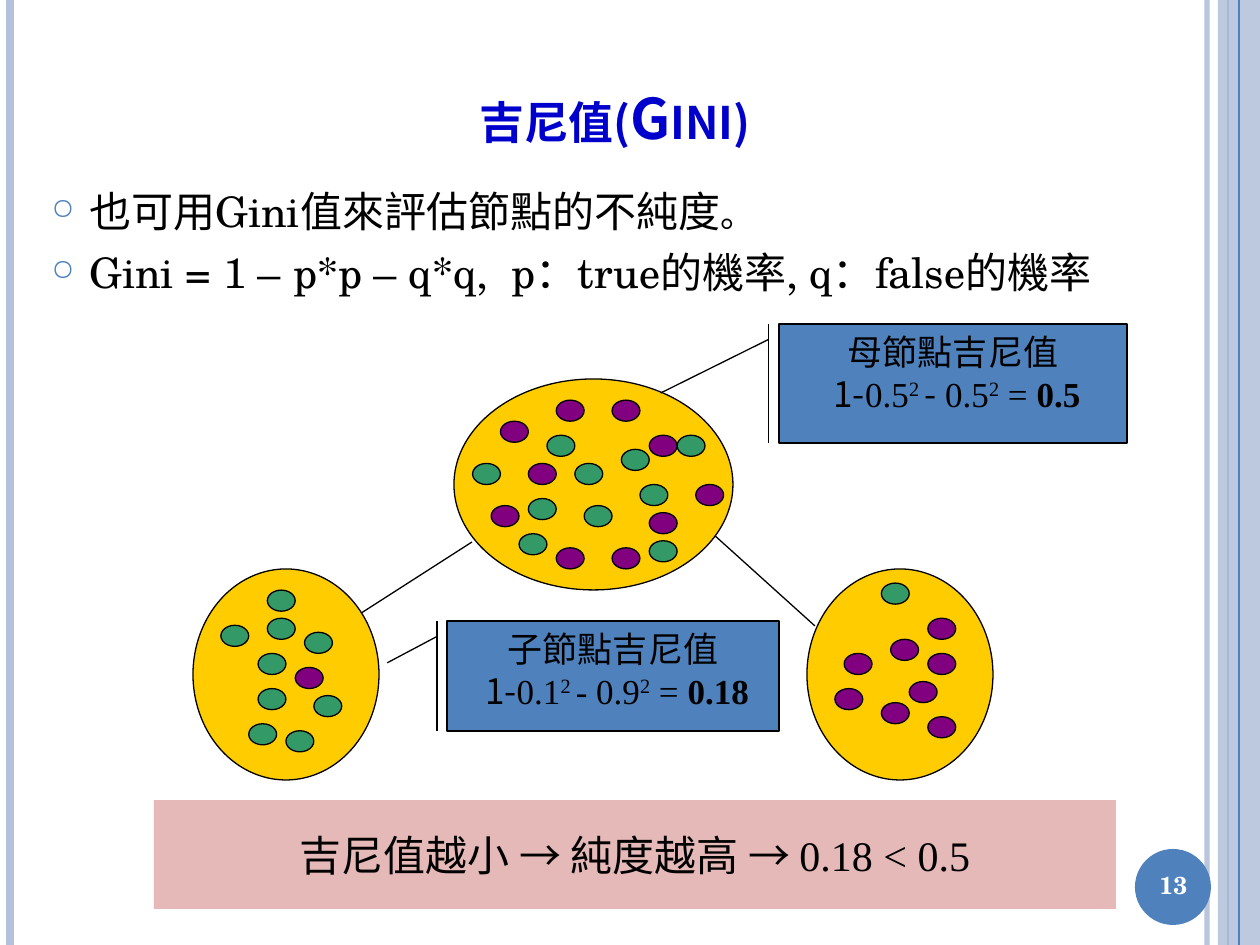
from lxml import etree
from pptx import Presentation
from pptx.dml.color import RGBColor
from pptx.enum.shapes import MSO_CONNECTOR, MSO_SHAPE
from pptx.enum.text import MSO_ANCHOR, PP_ALIGN
from pptx.oxml.ns import qn
from pptx.util import Emu, Pt

ELLIPSE, RECTANGLE = MSO_SHAPE.OVAL, MSO_SHAPE.RECTANGLE
CALLOUT = MSO_SHAPE.LINE_CALLOUT_1_BORDER_AND_ACCENT_BAR
STRAIGHT = MSO_CONNECTOR.STRAIGHT
TOP, MIDDLE, BOTTOM = MSO_ANCHOR.TOP, MSO_ANCHOR.MIDDLE, MSO_ANCHOR.BOTTOM
CENTER, LEFT = PP_ALIGN.CENTER, PP_ALIGN.LEFT

PX_PER_INCH = 126
SANS, SCHOLA, TIMES = "Noto Sans CJK SC", "TeX Gyre Schola", "Times New Roman"
COLORS = {
    "rail": "B3C1DB", "blue": "4F81BD", "title": "0000CC", "red": "C0504D",
    "node": "FFCC00", "true": "339966", "false": "800080",
    "black": "000000", "white": "FFFFFF",
}
DOT_UNITS = 3    # a dot spans 3 x 3 units of its node's grid
NODE_ROWS = 30   # every node is 30 units high

# Dot positions in grid units, by class
PARENT_DOTS = {
    "false": [(11, 3), (17, 24), (4, 18), (21, 19), (8, 12),
              (21, 8), (11, 24), (26, 15), (5, 6), (17, 3)],
    "true": [(18, 10), (14, 18), (20, 15), (10, 8), (8, 17),
             (21, 23), (24, 8), (7, 22), (13, 12), (2, 12)],
}
LEFT_DOTS = {
    "true": [(7, 12), (6, 22), (13, 18), (10, 23), (8, 3),
             (12, 9), (8, 7), (7, 17), (3, 8)],
    "false": [(11, 14)],
}
RIGHT_DOTS = {
    "true": [(8, 2)],
    "false": [(11, 16), (3, 17), (13, 21), (4, 12), (9, 10),
              (8, 19), (13, 12), (13, 7)],
}


def px(length):
    return Emu(round(length * 914400 / PX_PER_INCH))


def rgb(name):
    return RGBColor.from_string(COLORS[name])


def set_alpha(fill, percent):
    color = fill._xPr.find(".//" + qn("a:srgbClr"))
    etree.SubElement(color, qn("a:alpha"), val=str(percent * 1000))


def add_line(slide, start, end, color="black", width=0.75, alpha=None):
    line = slide.shapes.add_connector(STRAIGHT, *map(px, start + end))
    line.line.color.rgb = rgb(color)
    line.line.width = Pt(width)
    if alpha:
        set_alpha(line.line.fill, alpha)
    etree.SubElement(line._element.spPr, qn("a:effectLst"))


def add_shape(slide, kind, box, fill, outlined=True, alpha=None):
    shape = slide.shapes.add_shape(kind, *map(px, box))
    shape.shadow.inherit = False
    shape.fill.solid()
    shape.fill.fore_color.rgb = rgb(fill)
    if alpha:
        set_alpha(shape.fill, alpha)
    if outlined:
        shape.line.color.rgb = rgb("black")
        shape.line.width = Pt(0.75)
    else:
        shape.line.fill.background()
    return shape


def add_text_box(slide, box):
    return slide.shapes.add_textbox(*map(px, box))


def add_run(paragraph, text, size, font=SANS, color="black", bold=False, raised=False):
    run = paragraph.add_run()
    run.text = text
    run.font.size = Pt(size)
    run.font.bold = bold
    run.font.name = font
    run.font.color.rgb = rgb(color)
    properties = run._r.get_or_add_rPr()
    etree.SubElement(properties, qn("a:ea"), typeface=SANS)
    if raised:
        properties.set("baseline", "30000")
    return run


def start_text(shape, anchor, align=CENTER, wrap=True):
    frame = shape.text_frame
    frame.word_wrap = wrap
    frame.vertical_anchor = anchor
    frame.paragraphs[0].alignment = align
    return frame


def add_bullet(paragraph):
    paragraph.space_before = Pt(6)
    properties = paragraph._p.get_or_add_pPr()
    properties.set("marL", str(px(38)))
    properties.set("indent", str(-px(38)))
    color = etree.SubElement(properties, qn("a:buClr"))
    etree.SubElement(color, qn("a:srgbClr"), val=COLORS["blue"])
    etree.SubElement(properties, qn("a:buSzPct"), val="70000")
    etree.SubElement(properties, qn("a:buChar"), char="○")


def build_frame(slide, width, height):
    """Vertical rails on both edges of the slide."""
    def rail(x, *style):
        add_line(slide, (x, 0), (x, height), *style)

    rail(width - 53, "rail", 3, 93)
    rail(10, "rail", 4.5)
    rail(width - 32, "blue", 1.5)
    add_shape(slide, RECTANGLE, (width - 42, 0, 42, height), "rail", False, 87)
    rail(width - 21, "blue", 0.75)


def build_page_number(slide, left, top, size):
    add_shape(slide, ELLIPSE, (left, top, size, size), "blue", False)
    frame = start_text(add_text_box(slide, (left - 4, top, size + 9, size - 4)), MIDDLE)
    add_run(frame.paragraphs[0], "13", 14, SCHOLA, "white", True)


def build_title(slide, box):
    frame = start_text(add_text_box(slide, box), BOTTOM)
    run = add_run(frame.paragraphs[0], "吉尼值(Gini)", 32, SANS, "title", True)
    run._r.get_or_add_rPr().set("cap", "small")


def build_body(slide, box):
    frame = start_text(add_text_box(slide, box), TOP, LEFT)
    first, second = frame.paragraphs[0], frame.add_paragraph()
    add_bullet(first)
    add_run(first, "也可用Gini值來評估節點的不純度", 24, SCHOLA)
    add_run(first, "。", 20, SCHOLA)
    add_bullet(second)
    add_run(second, "Gini = 1 – p*p – q*q,  p：true的機率, q：false的機率", 24, SCHOLA)


def build_node(slide, box, columns, dots):
    """An ellipse holding dots placed on a grid of columns x NODE_ROWS."""
    left, top, width, height = box
    step_x, step_y = width / columns, height / NODE_ROWS
    add_shape(slide, ELLIPSE, box, "node")
    for label, positions in dots.items():
        for column, row in positions:
            dot = (left + column * step_x, top + row * step_y,
                   DOT_UNITS * step_x, DOT_UNITS * step_y)
            add_shape(slide, ELLIPSE, dot, label)


def build_callout(slide, box, pointer, heading, p, q, separator_font, result):
    shape = add_shape(slide, CALLOUT, box, "blue")
    for index, value in enumerate(pointer):
        shape.adjustments[index] = value
    frame = start_text(shape, TOP)
    add_run(frame.paragraphs[0], heading, 20)
    formula = frame.add_paragraph()
    formula.alignment = CENTER
    add_run(formula, " 1-", 20)
    add_run(formula, p, 20, TIMES)
    add_run(formula, "2 ", 20, TIMES, raised=True)
    add_run(formula, "-", 20, separator_font)
    add_run(formula, " " + q, 20, TIMES)
    add_run(formula, "2", 20, TIMES, raised=True)
    add_run(formula, " = ", 20, TIMES)
    add_run(formula, result, 20, TIMES, bold=True)


def build_conclusion(slide, box):
    band = add_shape(slide, RECTANGLE, box, "red", False, 40)
    paragraph = start_text(band, MIDDLE, wrap=False).paragraphs[0]
    add_run(paragraph, "吉尼值越小 → 純度越高 → ", 24)
    add_run(paragraph, "0.18 < 0.5", 24, TIMES)


def main():
    presentation = Presentation()
    presentation.slide_width, presentation.slide_height = px(1260), px(945)
    slide = presentation.slides.add_slide(presentation.slide_layouts[6])

    build_frame(slide, 1260, 945)
    build_title(slide, (35, 42, 1160, 115))
    build_body(slide, (39, 179, 1152, 661))
    build_page_number(slide, 1135, 849, 76)

    # Tree: branches first, then nodes
    add_line(slide, (352, 619), (472, 542))
    add_line(slide, (713, 534), (815, 626))
    build_node(slide, (454, 379, 279, 211), 30, PARENT_DOTS)
    build_node(slide, (807, 569, 186, 211), 20, RIGHT_DOTS)
    build_node(slide, (193, 569, 186, 211), 20, LEFT_DOTS)

    build_conclusion(slide, (154, 800, 962, 109))
    build_callout(slide, (779, 324, 348, 119), (0.13, -0.03, 0.58, -0.34),
                  "母節點吉尼值", "0.5", "0.5", SANS, "0.5")
    build_callout(slide, (447, 621, 332, 110), (0.14, -0.03, 0.38, -0.18),
                  "子節點吉尼值", "0.1", "0.9", TIMES, "0.18")
    presentation.save("out.pptx")


if __name__ == "__main__":
    main()
